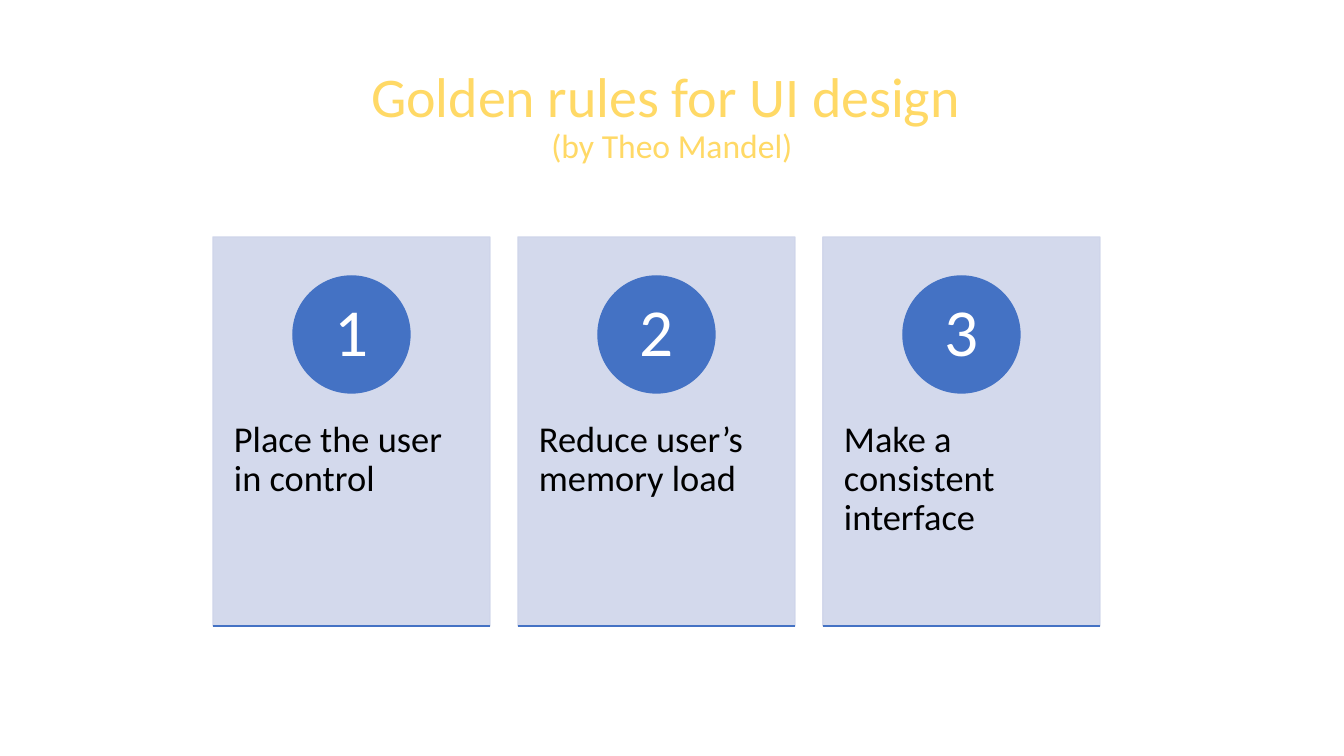
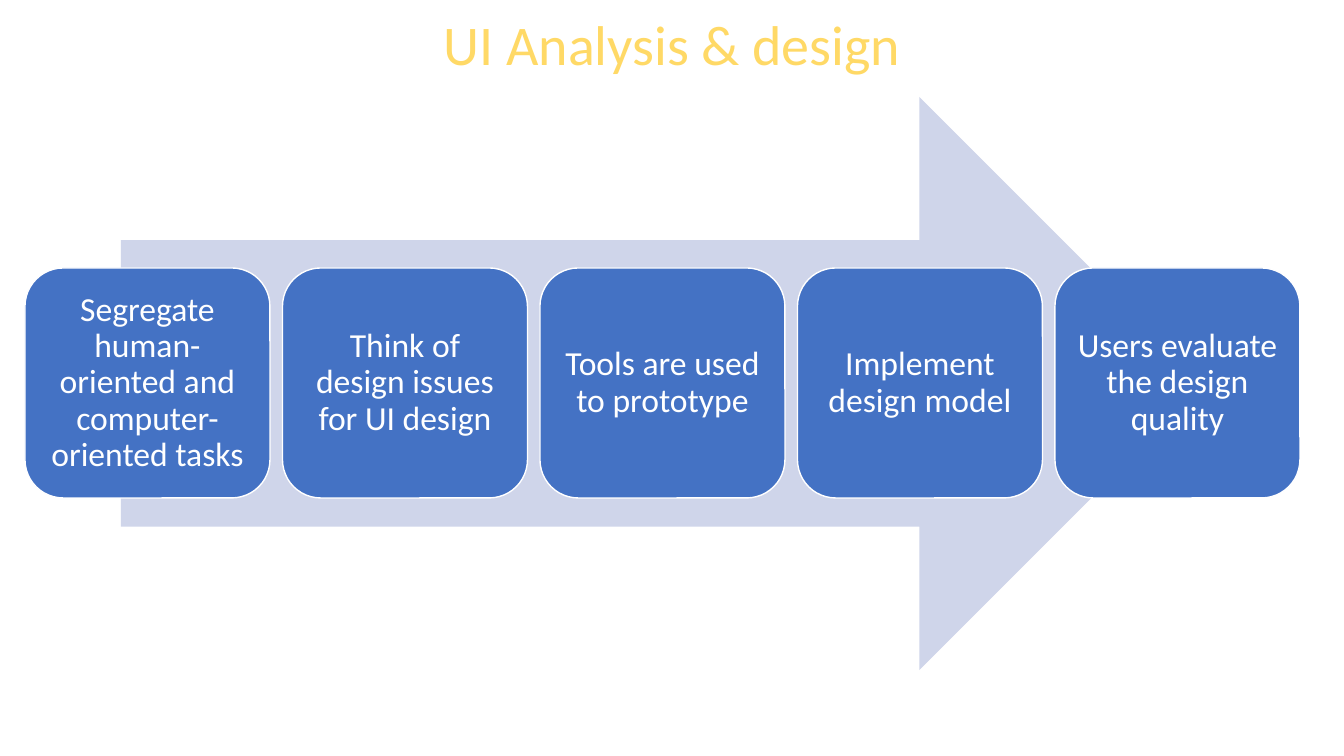
from lxml.etree import SubElement
from pptx import Presentation
from pptx.dml.color import RGBColor
from pptx.enum.shapes import MSO_CONNECTOR, MSO_SHAPE as SHAPE
from pptx.enum.text import MSO_ANCHOR as ANCHOR, PP_ALIGN as ALIGN
from pptx.oxml.ns import qn
from pptx.util import Pt

PX = 12192000 / 1344
FONT = "Calibri"
BLUE, PALE, GOLD = "4472C4", "CFD5EA", "FFD966"
WHITE, BLACK = "FFFFFF", "000000"
rgb = RGBColor.from_string


def add_shape(s, kind, box, fill, line=None):
    sp = s.shapes.add_shape(kind, *(round(v * PX) for v in box))
    sp.shadow.inherit = False
    sp.fill.solid()
    sp.fill.fore_color.rgb = rgb(fill)
    if line:
        sp.line.color.rgb = rgb(line)
        sp.line.width = Pt(1)
    else:
        sp.line.fill.background()
    return sp


def write(sp, text, size, color, insets, align=ALIGN.CENTER, anchor=ANCHOR.MIDDLE):
    tf = sp.text_frame
    tf.word_wrap = True
    tf.vertical_anchor = anchor
    tf.margin_left, tf.margin_top, tf.margin_right, tf.margin_bottom = (
        round(v * PX) for v in insets)
    p = tf.paragraphs[0]
    p.alignment = align
    p.line_spacing = 0.9
    p.font.name = FONT
    p.font.size = Pt(size)
    p.font.color.rgb = rgb(color)
    p.add_run().text = text
    return p


prs = Presentation()
prs.slide_width = round(1344 * PX)
prs.slide_height = round(756 * PX)

titles = [
    ("Golden rules for UI design ", "(by Theo Mandel)", (259, 64, 826, 146)),
    ("UI Analysis & design", None, (0, 12, 1344, 146)),
]
slides = []
for title, subtitle, box in titles:
    s = prs.slides.add_slide(prs.slide_layouts[6])
    tb = s.shapes.add_textbox(*(round(v * PX) for v in box))
    p = write(tb, title, 40, GOLD, (10, 5, 10, 5), anchor=ANCHOR.TOP)
    if subtitle:
        p.add_line_break()
        r = p.add_run()
        r.text = subtitle
        r.font.size = Pt(24)
    slides.append(s)
rules_slide, process_slide = slides

rules = ["Place the user in control", "Reduce user’s memory load", "Make a consistent interface"]
top, width, height, gap, circle = 237, 277, 389, 28, 117
for i, rule in enumerate(rules):
    left = 213 + i * (width + gap)
    card = add_shape(rules_slide, SHAPE.RECTANGLE, (left, top, width, height), PALE, PALE)
    for clr in card._element.spPr.iter(qn("a:srgbClr")):
        SubElement(clr, qn("a:alpha"), val="90000")
    write(card, rule, 26, BLACK, (21, 184, 21, 36), ALIGN.LEFT, ANCHOR.TOP)

    badge = add_shape(rules_slide, SHAPE.OVAL,
                      (left + (width - circle) / 2, top + 39, circle, circle), BLUE, BLUE)
    write(badge, str(i + 1), 48, WHITE, (9, 1, 9, 1))

    ends = (left, top + height, left + width, top + height)
    rule_line = rules_slide.shapes.add_connector(
        MSO_CONNECTOR.STRAIGHT, *(round(v * PX) for v in ends))
    rule_line.line.color.rgb = rgb(BLUE)
    rule_line.line.width = Pt(1)
    SubElement(rule_line._element.spPr, qn("a:effectLst"))

steps = [
    "Segregate human-oriented and computer-oriented tasks",
    "Think of design issues for UI design",
    "Tools are used to prototype",
    "Implement design model",
    "Users evaluate the design quality",
]
add_shape(process_slide, SHAPE.RIGHT_ARROW, (121, 97, 1085, 573), PALE)
first, last = 25, 1055
pitch = (last - first) / (len(steps) - 1)
for i, step in enumerate(steps):
    sp = add_shape(process_slide, SHAPE.ROUNDED_RECTANGLE,
                   (first + i * pitch, 268, 245, 230), BLUE, WHITE)
    write(sp, step, 24, WHITE, (10, 10, 10, 10))

prs.save("out.pptx")
